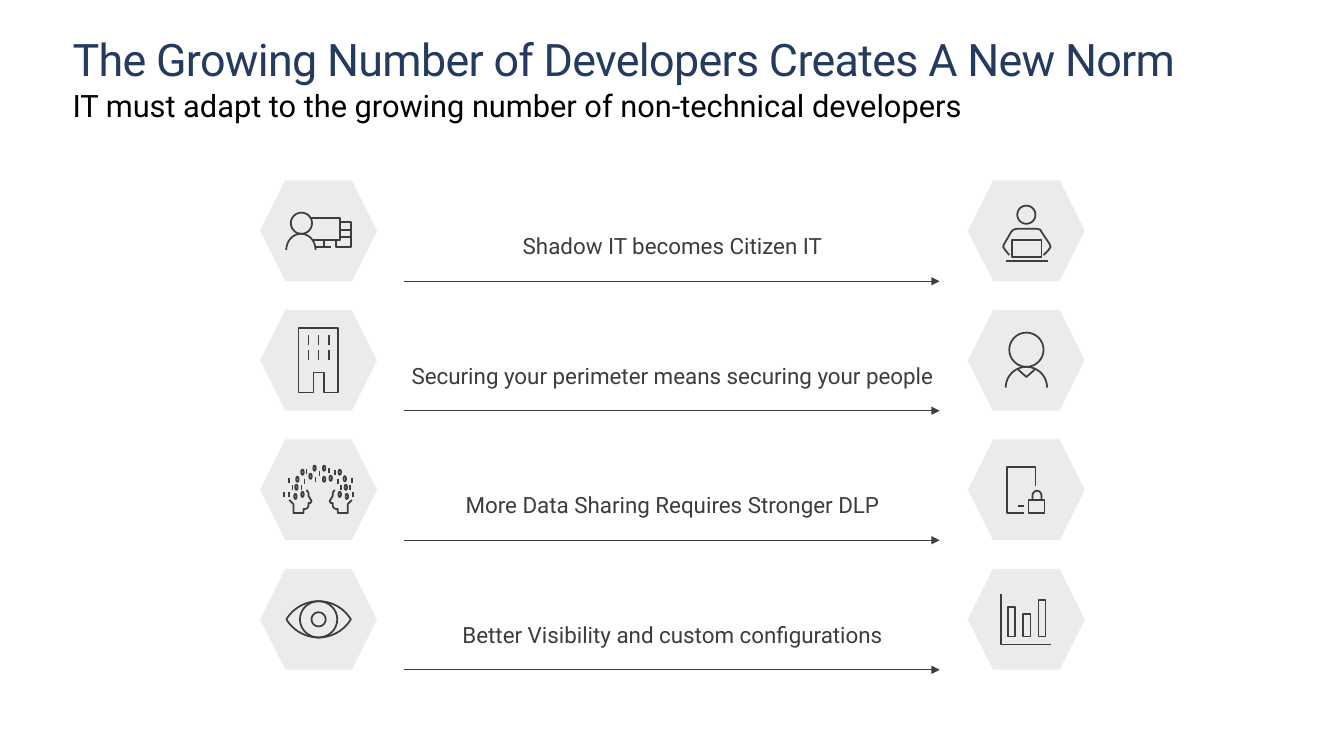
from math import cos, radians, sin

from lxml import etree
from pptx import Presentation
from pptx.dml.color import RGBColor
from pptx.enum.shapes import MSO_CONNECTOR, MSO_SHAPE
from pptx.enum.text import MSO_ANCHOR, PP_ALIGN
from pptx.oxml.ns import qn
from pptx.util import Inches, Pt

HEXAGON = MSO_SHAPE.HEXAGON
STRAIGHT = MSO_CONNECTOR.STRAIGHT
MIDDLE = MSO_ANCHOR.MIDDLE
CENTER = PP_ALIGN.CENTER

NAVY = RGBColor(0x24, 0x3A, 0x5E)
BLACK = RGBColor(0x00, 0x00, 0x00)
INK = RGBColor(0x3C, 0x3C, 0x41)
PALE = RGBColor(0xEB, 0xEB, 0xEB)
FONT = "Roboto"

MARGIN = 0.72
HEADING_WIDTH = 11.9
FIRST_ROW, ROW_PITCH = 1.79, 1.285
HEX_WIDTH, HEX_HEIGHT = 1.16, 1
LEFT_CENTER, RIGHT_CENTER = 3.16, 10.18
ARROW_START, ARROW_END = 4.01, 9.32
LABEL_LEFT, LABEL_WIDTH, LABEL_HEIGHT, LABEL_DROP = 3.97, 5.4, 0.56, 0.37


# Icons are lists of strokes, in hundredths of an inch from the hexagon's center.
def arc(x, y, rx, ry, start=0, end=360):
    """Points along an elliptical arc, clockwise, angles in degrees."""
    steps = 32
    angles = [radians(start + (end - start) * i / steps) for i in range(steps + 1)]
    return [(x + rx * cos(a), y + ry * sin(a)) for a in angles]


def box(left, top, right, bottom):
    return [(left, top), (right, top), (right, bottom), (left, bottom), (left, top)]


presenter = [
    arc(-17, -7.5, 10.5, 10.5),
    arc(-17.5, 19, 14.5, 16, 180, 360),
    [(-6, 9), (21, 9), (21, -13), (-8, -13)],
    [(22, -9), (32, -9), (32, 16), (17, 16), (17, 9)],
    [(5, 16), (5, 9)],
    [(12, 16), (-3, 16)],
    [(32, -1), (22, -1)],
    [(32, 6), (22, 6)],
]
laptop_user = [
    arc(0, -16, 9, 9),
    [(-17, 24), (-21, 19), (-23, 16), (-22, 13), (-15, 1), (-13, -1), (-10, -2),
     (11, -2), (14, -1), (15, 1), (23, 13), (24, 16), (22, 19), (17, 24)],
    box(-14, 9, 15, 26),
    [(-20, 30), (21, 30)],
]
building = [
    [(-20, -32), (19, -32), (19, 32), (5, 32), (5, 12), (-5, 12), (-5, 32),
     (-20, 32), (-20, -32)],
]
building += [[(x, y), (x, y + 10)] for y in (-25, -10) for x in (-10, 0, 10)]
person = [
    arc(0, -10.5, 17, 17),
    arc(0, 27, 20.5, 20.5, 180, 360),
    [(-9, 8.5), (0, 16.5), (9, 8.5)],
]
face = [(-12, 0), (-10, 3), (-10, 6), (-7, 11), (-8, 13), (-10, 13), (-10, 16),
        (-11, 18), (-13, 19), (-15, 19), (-15, 23), (-25, 23), (-25, 14), (-29, 10)]
zeros = [(-22, -2.5), (-16, 4.5), (-23, 6.5), (-21, -10.5), (-16, -17.5),
         (-8, -13.5), (-4, -21.5), (5.5, -21.5), (5.5, -10.5), (12, -11.5),
         (21, -17.5), (26, -11), (27, -2.5), (21, 4.5), (28, 6.5)]
ones = [(-34, 2), (-29, 2), (-29, -12), (-26, -5), (-17, -5), (-14, -11),
        (-12, -21), (-3, -13), (1, -19), (10, -22), (16, -20), (19, -11),
        (22, -5), (31, -5), (33, -12), (34, 2)]
data_sharing = [face, [(4 - x, y) for x, y in face]]
data_sharing += [arc(x, y, 1.2, 2.5) for x, y in zeros]
data_sharing += [[(x, y), (x, y + 5)] for x, y in ones]
locked_device = [
    [(-2, 23), (-19, 23), (-19, -23), (9, -23), (9, -4)],
    box(2, 10, 18, 23),
    [(6, 10)] + arc(10.5, 6, 4.5, 5, 180, 360) + [(15, 10)],
    [(-8, 16), (-2, 16)],
]
eye = [
    arc(0, 19.4, 37.4, 37.4, 211.2, 328.8) + arc(0, -19.4, 37.4, 37.4, 31.2, 148.8),
    arc(0, 0, 18.5, 18),
    arc(0, 0, 7, 7),
]
bar_chart = [
    [(-25, -25), (-25, 25), (24, 25)],
    box(-18, -12, -11, 17),
    box(-3, -5, 4, 17),
    box(12, -19, 19, 17),
]

changes = [
    ("Shadow IT becomes Citizen IT", presenter, laptop_user),
    ("Securing your perimeter means securing your people", building, person),
    ("More Data Sharing Requires Stronger DLP", data_sharing, locked_device),
    ("Better Visibility and custom configurations", eye, bar_chart),
]

deck = Presentation()
deck.slide_width, deck.slide_height = Inches(13.33), Inches(7.5)
slide = deck.slides.add_slide(deck.slide_layouts[6])
shapes = slide.shapes

headings = [
    ("The Growing Number of Developers Creates A New Norm",
     0.35, 0.5, 32, NAVY, Pt(36.2), -50),
    ("IT must adapt to the growing number of non-technical developers",
     0.86, 0.68, 22, BLACK, 1.0, 0),
]
for words, top, height, size, color, line_spacing, tracking in headings:
    frame = shapes.add_textbox(Inches(MARGIN), Inches(top),
                               Inches(HEADING_WIDTH), Inches(height)).text_frame
    frame.word_wrap = True
    frame.margin_left = frame.margin_right = frame.margin_top = frame.margin_bottom = 0
    frame.paragraphs[0].line_spacing = line_spacing
    run = frame.paragraphs[0].add_run()
    run.text = words
    run.font.name, run.font.size = FONT, Pt(size)
    run.font.color.rgb = color
    run.font._element.set("spc", str(tracking))

for row, (words, before, after) in enumerate(changes):
    row_top = FIRST_ROW + row * ROW_PITCH
    middle = row_top + HEX_HEIGHT / 2

    for center, strokes in ((LEFT_CENTER, before), (RIGHT_CENTER, after)):
        tile = shapes.add_shape(HEXAGON, Inches(center - HEX_WIDTH / 2), Inches(row_top),
                                Inches(HEX_WIDTH), Inches(HEX_HEIGHT))
        tile.shadow.inherit = False
        tile.fill.solid()
        tile.fill.fore_color.rgb = PALE
        tile.line.fill.background()

        placed = [[(Inches(center + x / 100), Inches(middle + y / 100)) for x, y in stroke]
                  for stroke in strokes]
        pen = shapes.build_freeform(*placed[0][0])
        for stroke in placed:
            if stroke is not placed[0]:
                pen.move_to(*stroke[0])
            pen.add_line_segments(stroke[1:], close=False)
        icon = pen.convert_to_shape()
        icon.shadow.inherit = False
        icon.fill.background()
        icon.line.color.rgb = INK
        icon.line.width = Pt(1.25)

    arrow_y = Inches(row_top + HEX_HEIGHT)
    arrow = shapes.add_connector(STRAIGHT, Inches(ARROW_START), arrow_y,
                                 Inches(ARROW_END), arrow_y)
    arrow.line.color.rgb = INK
    arrow.line.width = Pt(1)
    etree.SubElement(arrow.line._get_or_add_ln(), qn("a:tailEnd"), type="triangle")
    etree.SubElement(arrow._element.spPr, qn("a:effectLst"))

    label = shapes.add_textbox(Inches(LABEL_LEFT), Inches(row_top + LABEL_DROP),
                               Inches(LABEL_WIDTH), Inches(LABEL_HEIGHT)).text_frame
    label.word_wrap = True
    label.vertical_anchor = MIDDLE
    label.paragraphs[0].alignment = CENTER
    run = label.paragraphs[0].add_run()
    run.text = words
    run.font.name, run.font.size = FONT, Pt(16)
    run.font.color.rgb = INK

deck.save("out.pptx")
